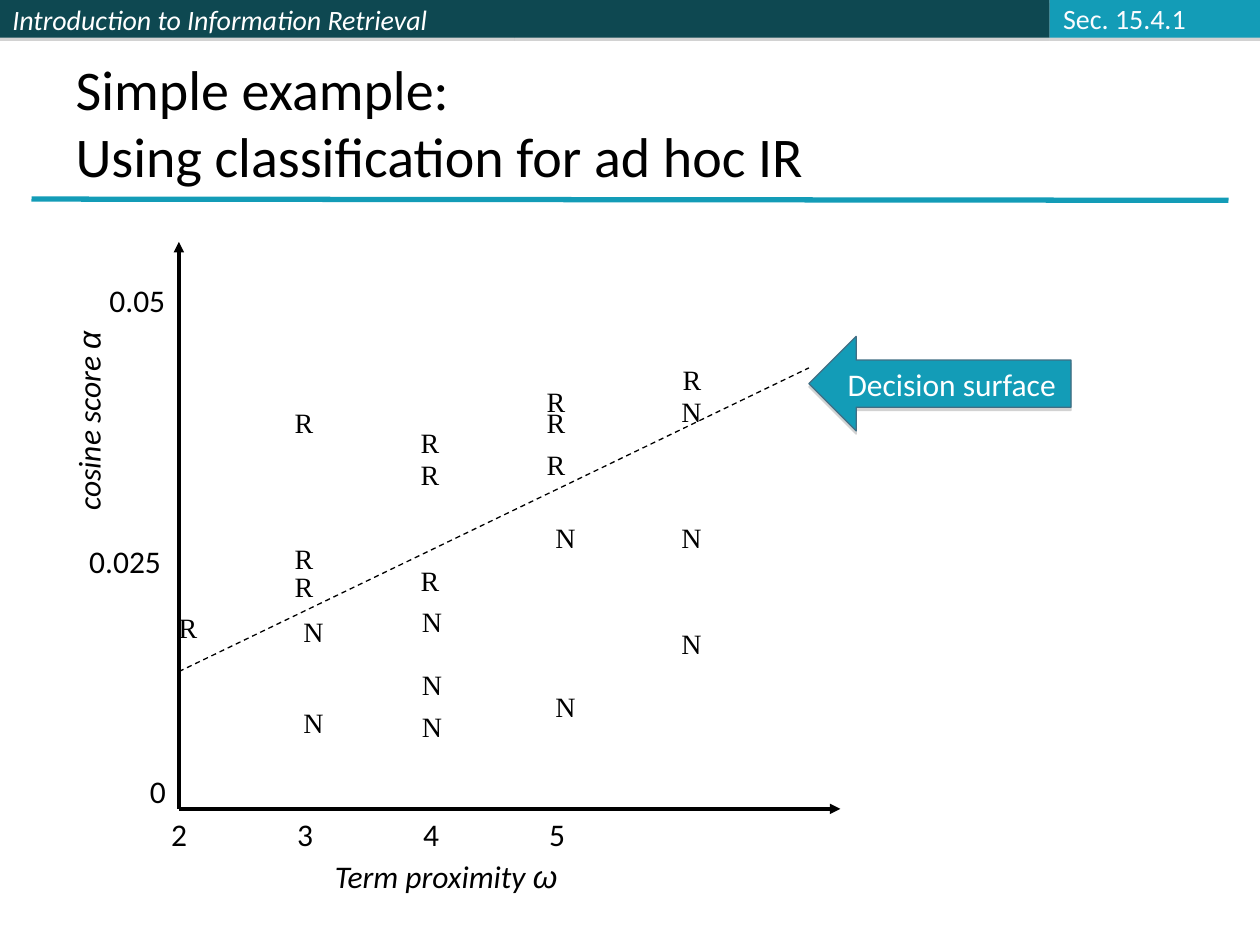
import dataclasses

import lxml.etree
import pptx
import pptx.dml.color
import pptx.enum.dml
import pptx.enum.shapes
import pptx.enum.text
import pptx.oxml.ns
import pptx.util

Inches = pptx.util.Inches
ANCHOR = pptx.enum.text.MSO_ANCHOR
ALIGN = pptx.enum.text.PP_ALIGN
FIT = pptx.enum.text.MSO_AUTO_SIZE
SHAPES = pptx.enum.shapes.MSO_SHAPE


@dataclasses.dataclass(frozen=True)
class Theme:
    dark: str = "0E4851"
    accent: str = "139CB7"
    outline: str = "406E84"
    ink: str = "000000"
    light: str = "FFFFFF"
    section: str = "FBFCFF"
    shadow: str = "808080"
    font: str = "Calibri"
    marker_font: str = "Times New Roman"
    symbol_font: str = "Arial"
    title_size: int = 32
    label_size: int = 18
    small_size: int = 16


@dataclasses.dataclass(frozen=True)
class Box:
    left: float
    top: float
    width: float
    height: float

    def inner(self, dx, dy, width, height):
        return Box(self.left + dx, self.top + dy, width, height)

    def lengths(self):
        return [Inches(n) for n in (self.left, self.top, self.width, self.height)]


THEME = Theme()

# Marker positions in the plot: (left, tops), relative to its top left corner
MARKERS = {
    "R": [(-0.1, [2.88]), (0.82, [1.25, 2.33, 2.55]), (1.82, [1.41, 1.66, 2.5]),
          (2.82, [1.08, 1.25, 1.58]), (3.9, [0.91])],
    "N": [(0.89, [2.91, 3.63]), (1.83, [2.83, 3.33, 3.66]),
          (2.89, [2.16, 3.5]), (3.89, [1.16, 2.16, 3])],
}


def rgb(colour):
    return pptx.dml.color.RGBColor.from_string(colour)


def write(paragraph, text, colour=THEME.ink, **font_format):
    run = paragraph.add_run()
    run.text = text
    values = {"name": THEME.font, "size": THEME.label_size, "italic": False} | font_format
    values["size"] = pptx.util.Pt(values["size"])
    for attribute, value in values.items():
        setattr(run.font, attribute, value)
    run.font.color.rgb = rgb(colour)


def add_label(slide, box, text, symbol="", colour=THEME.ink, **font_format):
    label = slide.shapes.add_textbox(*box.lengths())
    label.text_frame.word_wrap = False
    label.text_frame.auto_size = FIT.SHAPE_TO_FIT_TEXT
    paragraph = label.text_frame.paragraphs[0]
    write(paragraph, text, colour, **font_format)
    if symbol:
        write(paragraph, symbol, colour, **font_format | {"name": THEME.symbol_font})
    return label


def add_block(slide, box, fill, preset=SHAPES.RECTANGLE):
    """A filled shape with a hard shadow just below it."""
    block = slide.shapes.add_shape(preset, *box.lengths())
    block.shadow.inherit = False
    block.fill.solid()
    block.fill.fore_color.rgb = rgb(fill)
    block.line.fill.background()
    block.text_frame.vertical_anchor = ANCHOR.MIDDLE
    qn = pptx.oxml.ns.qn
    effects = block.element.spPr.find(qn("a:effectLst"))
    shadow = lxml.etree.SubElement(effects, qn("a:outerShdw"), blurRad="0",
                                   dist=str(pptx.util.Pt(1.8)), dir="5400000", rotWithShape="0")
    colour = lxml.etree.SubElement(shadow, qn("a:srgbClr"), val=THEME.shadow)
    lxml.etree.SubElement(colour, qn("a:alpha"), val="35000")
    return block


def add_line(slide, start, end, colour, width, arrow=False, dashed=False):
    ends = [Inches(n) for n in (*start, *end)]
    line = slide.shapes.add_connector(pptx.enum.shapes.MSO_CONNECTOR.STRAIGHT, *ends)
    line.line.color.rgb = rgb(colour)
    line.line.width = pptx.util.Pt(width)
    if dashed:
        line.line.dash_style = pptx.enum.dml.MSO_LINE.DASH
    qn = pptx.oxml.ns.qn
    properties = line.element.spPr
    if arrow:
        lxml.etree.SubElement(properties.find(qn("a:ln")), qn("a:tailEnd"), type="triangle")
    lxml.etree.SubElement(properties, qn("a:effectLst"))


def build_header(slide, box):
    course_width, section_width = 4.08, 1.67
    section_left = box.width - section_width
    course = add_block(slide, box.inner(0, 0, course_width, box.height), THEME.dark)
    paragraph = course.text_frame.paragraphs[0]
    paragraph.alignment = ALIGN.LEFT
    write(paragraph, "Introduction to Information Retrieval", THEME.light,
          size=THEME.small_size, italic=True)
    add_block(slide, box.inner(course_width, 0, section_left - course_width, box.height),
              THEME.dark)
    add_block(slide, box.inner(section_left, 0, section_width, box.height), THEME.accent)
    section = add_label(slide, box.inner(section_left + 0.01, -0.04, 1.17, 0.37), "Sec. 15.4.1",
                        colour=THEME.section, size=THEME.small_size)
    section.text_frame.vertical_anchor = ANCHOR.MIDDLE


def build_title(slide, box):
    title = slide.shapes.title
    title.left, title.top, title.width, title.height = box.lengths()
    frame = title.text_frame
    frame.auto_size = FIT.NONE
    frame.vertical_anchor = ANCHOR.BOTTOM
    paragraph = frame.paragraphs[0]
    paragraph.alignment = ALIGN.LEFT
    write(paragraph, "Simple example:", size=THEME.title_size)
    paragraph.add_line_break()
    write(paragraph, "Using classification for ad hoc IR", size=THEME.title_size)
    # Rule under the title
    rule = box.top + box.height + 0.03
    add_line(slide, (box.left - 0.25, rule), (box.left + box.width + 0.25, rule + 0.01),
             THEME.accent, 3)


def build_plot(slide, box):
    # Axes
    origin = (box.left, box.top + box.height)
    for tip in ((box.left + box.width, origin[1]), (box.left, box.top)):
        add_line(slide, origin, tip, THEME.ink, 2, arrow=True)

    # Axis values and names
    for text, dx, dy, width in (("0", -0.33, 4.16, 0.32), ("0.025", -0.81, 2.33, 0.77),
                                ("0.05", -0.65, 0.26, 0.64)):
        add_label(slide, box.inner(dx, dy, width, 0.4), text)
    for step, text in enumerate("2345"):
        add_label(slide, box.inner(step - 0.16, box.height, 0.32, 0.4), text)
    score = add_label(slide, box.inner(-1.54, 1.21, 1.64, 0.4), "cosine score ", "α", italic=True)
    score.rotation = 270
    add_label(slide, box.inner(1.14, 4.83, 1.97, 0.4), "Term proximity ", "ω", italic=True)

    # Decision surface
    add_line(slide, (box.left, box.top + 3.41), (box.left + 5, box.top + 1),
             THEME.ink, 0.75, dashed=True)

    # Relevant and nonrelevant documents
    for letter, columns in MARKERS.items():
        for dx, tops in columns:
            for dy in tops:
                add_label(slide, box.inner(dx, dy, 0.35, 0.37), letter,
                          name=THEME.marker_font, size=THEME.small_size)


def build_callout(slide, box):
    callout = add_block(slide, box, THEME.accent, SHAPES.LEFT_ARROW)
    callout.line.color.rgb = rgb(THEME.outline)
    callout.line.width = pptx.util.Pt(0.75)
    paragraph = callout.text_frame.paragraphs[0]
    paragraph.alignment = ALIGN.CENTER
    write(paragraph, "Decision surface", THEME.light)


def main():
    deck = pptx.Presentation()
    deck.slide_width, deck.slide_height = Inches(10), Inches(7.5)
    slide = deck.slides.add_slide(deck.slide_layouts[5])  # Title Only
    build_header(slide, Box(0, 0, 10, 0.3))
    build_title(slide, Box(0.5, 0.3, 9, 1.25))
    build_plot(slide, Box(1.42, 1.92, 5.25, 4.5))
    build_callout(slide, Box(6.42, 2.67, 2.08, 0.75))
    deck.save("out.pptx")


if __name__ == "__main__":
    main()
